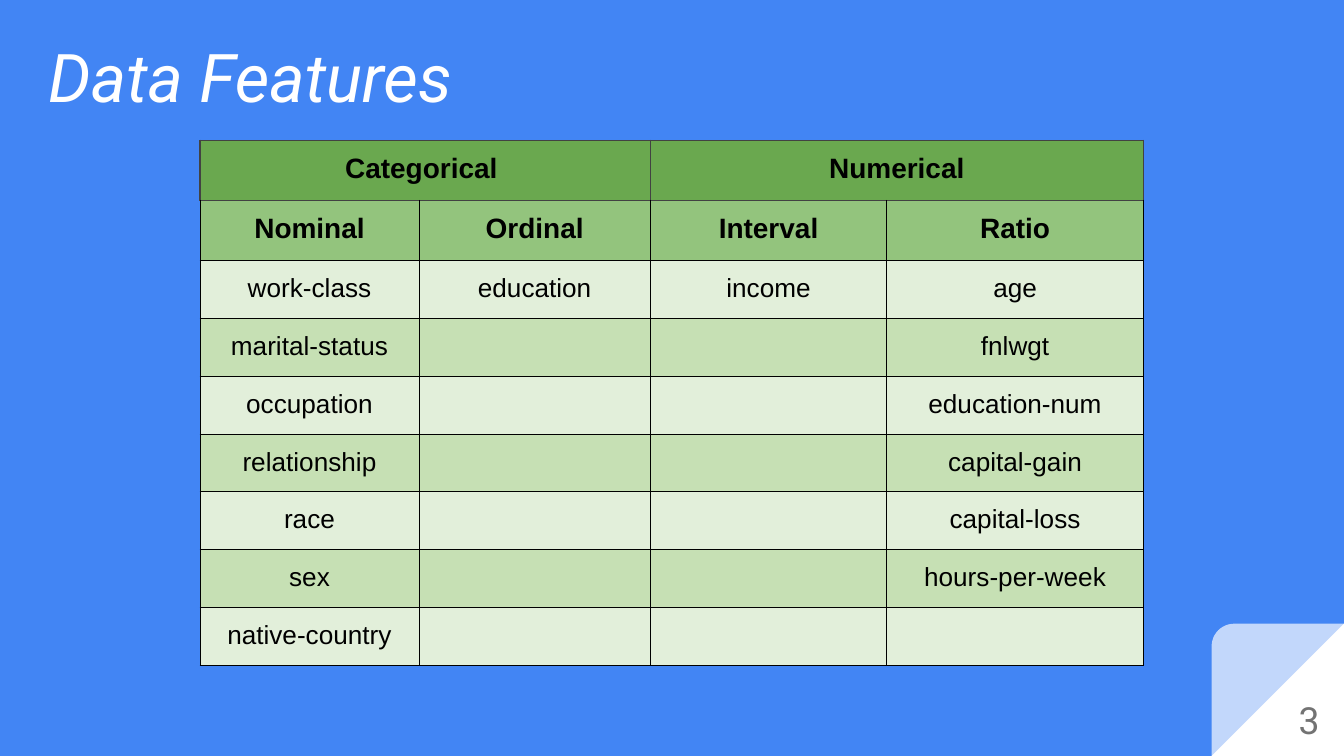
"""Build the Data Features slide with its table of attribute types."""
from lxml import etree
from pptx import Presentation
from pptx.dml.color import RGBColor
from pptx.enum.shapes import MSO_SHAPE
from pptx.enum.text import MSO_ANCHOR, PP_ALIGN
from pptx.oxml.ns import qn
from pptx.util import Cm, Pt

TRIANGLE, ROUNDED = MSO_SHAPE.RIGHT_TRIANGLE, MSO_SHAPE.ROUND_1_RECTANGLE
LEFT, CENTER, RIGHT = PP_ALIGN.LEFT, PP_ALIGN.CENTER, PP_ALIGN.RIGHT
MIDDLE, BOTTOM = MSO_ANCHOR.MIDDLE, MSO_ANCHOR.BOTTOM
BLUE = RGBColor(0x42, 0x85, 0xF4)
WHITE = RGBColor(0xFF, 0xFF, 0xFF)
BLACK = RGBColor(0, 0, 0)
GREY = RGBColor(0x73, 0x73, 0x73)
DARK_GREY = RGBColor(0x42, 0x42, 0x42)
GROUP_GREEN = RGBColor(0x6A, 0xA8, 0x4F)
TYPE_GREEN = RGBColor(0x93, 0xC4, 0x7D)
BAND_GREENS = [RGBColor(0xE2, 0xEF, 0xDA), RGBColor(0xC6, 0xE0, 0xB4)]
INSET = Cm(0.25)


def write(frame, text, align, font_name, size, color, bold=False, italic=False):
    paragraph = frame.paragraphs[0]
    paragraph.alignment = align
    run = paragraph.add_run()
    run.text = text
    run.font.name = font_name
    run.font.size = Pt(size)
    run.font.color.rgb = color
    run.font.bold = bold
    run.font.italic = italic


def add_border(cell, side, color, width):
    line = etree.SubElement(cell._tc.get_or_add_tcPr(), qn(f"a:ln{side}"), w=str(Pt(width)))
    fill = etree.SubElement(line, qn("a:solidFill"))
    etree.SubElement(fill, qn("a:srgbClr"), val=str(color))


prs = Presentation()
prs.slide_width, prs.slide_height = Cm(25.4), Cm(14.29)
slide = prs.slides.add_slide(prs.slide_layouts[5])
slide.background.fill.solid()
slide.background.fill.fore_color.rgb = BLUE

corner_size = Cm(2.5)
for geometry in (TRIANGLE, ROUNDED):
    corner = slide.shapes.add_shape(
        geometry, prs.slide_width - corner_size, prs.slide_height - corner_size,
        corner_size, corner_size)
    corner.shadow.inherit = False
    corner.fill.solid()
    corner.fill.fore_color.rgb = WHITE
    corner.line.fill.background()
    corner._element.spPr.xfrm.set("flipH", "1")
corner.adjustments[0] = 0.17
fold_color = corner._element.spPr.find(qn("a:solidFill"))[0]
etree.SubElement(fold_color, qn("a:alpha"), val="68000")

title = slide.shapes.title
title.left, title.top, title.width, title.height = Cm(0.66), Cm(0.33), Cm(12.57), Cm(2.11)
page_number = slide.shapes.add_textbox(Cm(23.67), Cm(13.06), Cm(1.52), Cm(1.09))
for box, anchor in ((title, BOTTOM), (page_number, MIDDLE)):
    frame = box.text_frame
    frame.word_wrap = True
    frame.vertical_anchor = anchor
    frame.margin_left = frame.margin_right = frame.margin_top = frame.margin_bottom = INSET
write(title.text_frame, "Data Features", LEFT, "Roboto", 36, WHITE, italic=True)
write(page_number.text_frame, "3", RIGHT, "Roboto", 20, GREY)

rows = [
    ["Categorical ", "", "Numerical", ""],
    ["Nominal", "Ordinal", "Interval", "Ratio"],
    ["work-class", "education", "income", "age"],
    ["marital-status", "", "", "fnlwgt"],
    ["occupation", "", "", "education-num"],
    ["relationship", "", "", "capital-gain"],
    ["race", "", "", "capital-loss"],
    ["sex", "", "", "hours-per-week"],
    ["native-country", "", "", ""],
]
column_widths = [Cm(4.14), Cm(4.37), Cm(4.47), Cm(4.85)]
row_heights = [Cm(1.1)] * 2 + [Cm(1.06)] * 7
features = slide.shapes.add_table(
    len(rows), len(column_widths), Cm(3.78), Cm(2.65),
    sum(column_widths), sum(row_heights)).table
features.first_row = features.horz_banding = False
for column, width in zip(features.columns, column_widths):
    column.width = width
for first in (0, 2):
    features.cell(0, first).merge(features.cell(0, first + 1))

for r, labels in enumerate(rows):
    features.rows[r].height = row_heights[r]
    header = r < 2
    fill_color = [GROUP_GREEN, TYPE_GREEN][r] if header else BAND_GREENS[r % 2]
    for c, label in enumerate(labels):
        cell = features.cell(r, c)
        cell.margin_left = cell.margin_right = INSET
        cell.margin_top = cell.margin_bottom = INSET if label else 0
        for side in "LRTB":
            grey = r == 0 or (r == 1 and side == "T")
            thick = r == 0 and side != "B"
            add_border(cell, side, DARK_GREY if grey else BLACK, 0.75 if thick else 0.6)
        cell.fill.solid()
        cell.fill.fore_color.rgb = fill_color
        if label:
            write(cell.text_frame, label, CENTER, "Arial", 15 if header else 14, BLACK, bold=header)

prs.save("out.pptx")
